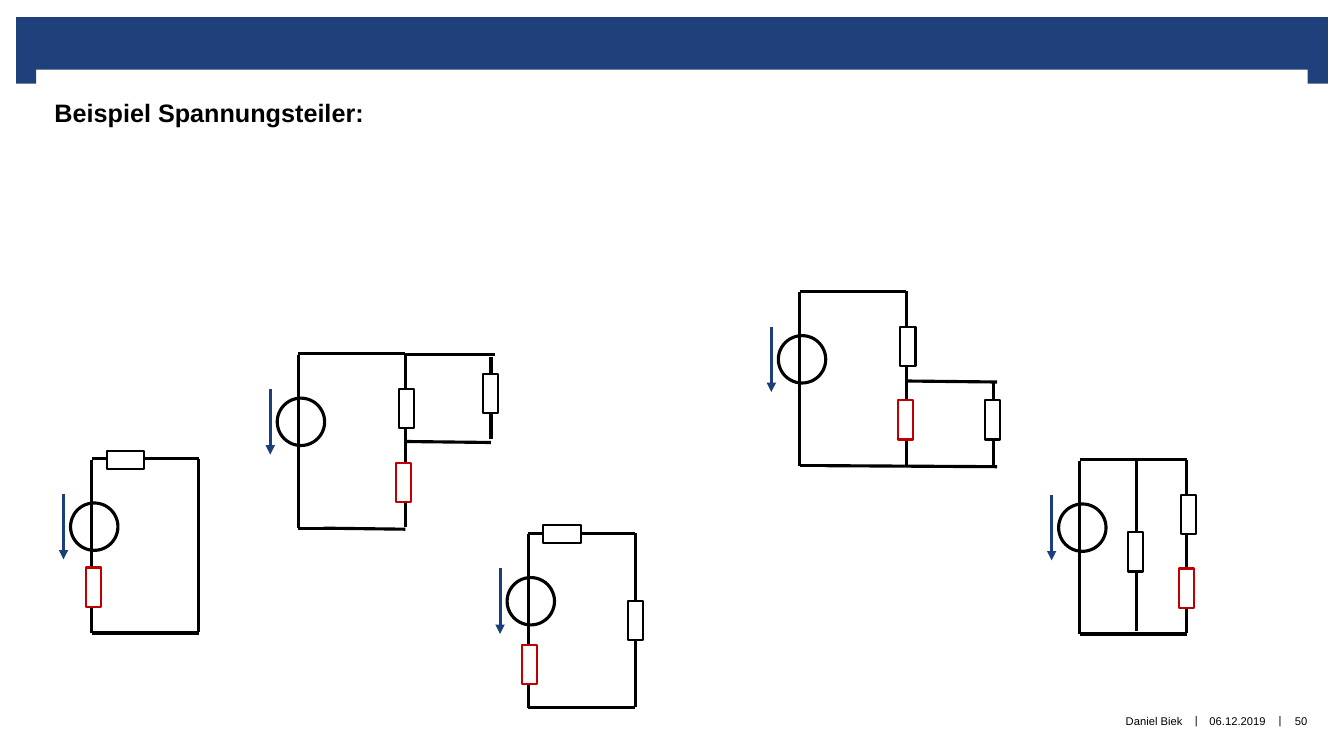
"""Draw the voltage divider example slide with its five circuits."""
import lxml.etree
import pptx
import pptx.dml.color
import pptx.enum.shapes
import pptx.enum.text
import pptx.oxml.ns
import pptx.util

NAVY = pptx.dml.color.RGBColor(0x1F, 0x40, 0x7A)
ARROW_BLUE = pptx.dml.color.RGBColor(0x1C, 0x3E, 0x7A)
RED = pptx.dml.color.RGBColor(0xC0, 0x00, 0x00)
BLACK = pptx.dml.color.RGBColor(0x00, 0x00, 0x00)
WHITE = pptx.dml.color.RGBColor(0xFF, 0xFF, 0xFF)
RECTANGLE = pptx.enum.shapes.MSO_SHAPE.RECTANGLE
OVAL = pptx.enum.shapes.MSO_SHAPE.OVAL
ALIGN = pptx.enum.text.PP_ALIGN
UPRIGHT, LYING = (15, 39), (37, 18)
LOOP_WIDTH, LOOP_HEIGHT = 106, 173

CIRCUITS = [
    dict(origin=(91, 455), resistors=[(15, -8, LYING, BLACK), (-6, 108, UPRIGHT, RED)]),
    dict(origin=(524, 529), resistors=[(15, -8, LYING, BLACK), (-6, 111, UPRIGHT, RED),
                                       (99, 67, UPRIGHT, BLACK)]),
    dict(origin=(1071, 456), wires=[(56, 170, 56, -2)],
         resistors=[(98, 108, UPRIGHT, RED), (100, 35, UPRIGHT, BLACK),
                    (48, 72, UPRIGHT, BLACK)]),
    dict(origin=(793, 289), bottom_end=(196, 174),
         wires=[(192, 173, 192, 91), (107, 89, 196, 90)],
         resistors=[(98, 108, UPRIGHT, RED), (100, 35, UPRIGHT, BLACK),
                    (184, 108, UPRIGHT, BLACK)]),
    dict(origin=(296, 351), bottom_end=(106, 174),
         wires=[(191, 85, 191, 3), (106, 1, 195, 1), (106, 87, 191, 88)],
         resistors=[(97, 108, UPRIGHT, RED), (100, 35, UPRIGHT, BLACK),
                    (183, 20, UPRIGHT, BLACK)]),
]


def px(length):
    return pptx.util.Emu(length * 9144)


def write_text(shape, text, size=8, bold=False, align=ALIGN.CENTER, inset=(0, 0), wrap=True):
    frame = shape.text_frame
    frame.auto_size = pptx.enum.text.MSO_AUTO_SIZE.NONE
    frame.word_wrap = wrap
    frame.vertical_anchor = pptx.enum.text.MSO_ANCHOR.MIDDLE
    frame.margin_left = frame.margin_right = px(inset[0])
    frame.margin_top = frame.margin_bottom = px(inset[1])
    frame.text = text
    paragraph = frame.paragraphs[0]
    paragraph.alignment = align
    paragraph.font.name = "Arial"
    paragraph.font.size = pptx.util.Pt(size)
    paragraph.font.bold = bold
    paragraph.font.color.rgb = BLACK


class SlidePainter:
    def __init__(self, slide):
        self.slide = slide
        self.shapes = slide.shapes

    def start_group(self):
        self.shapes = self.slide.shapes.add_group_shape().shapes

    def title(self, text, left, top, width, height):
        shape = self.slide.shapes.title
        shape.left, shape.top, shape.width, shape.height = map(px, (left, top, width, height))
        write_text(shape, text, size=18, bold=True, align=ALIGN.LEFT, inset=(10, 5), wrap=False)

    def label(self, text, left, top, width, height, **style):
        shape = self.slide.shapes.add_textbox(*map(px, (left, top, width, height)))
        write_text(shape, text, **style)

    def shape(self, kind, left, top, width, height, fill=None, line=None, weight=1.5):
        shape = self.shapes.add_shape(kind, *map(px, (left, top, width, height)))
        shape.shadow.inherit = False
        if fill is None:
            shape.fill.background()
        else:
            shape.fill.solid()
            shape.fill.fore_color.rgb = fill
        if line is None:
            shape.line.fill.background()
        else:
            shape.line.color.rgb = line
            shape.line.width = pptx.util.Pt(weight)

    def line(self, x1, y1, x2, y2, color=BLACK, arrow=False):
        connector = self.shapes.add_connector(
            pptx.enum.shapes.MSO_CONNECTOR.STRAIGHT, *map(px, (x1, y1, x2, y2)))
        connector.line.color.rgb = color
        connector.line.width = pptx.util.Pt(2.25)
        qn = pptx.oxml.ns.qn
        properties = connector.element.spPr
        if arrow:
            outline = properties.find(qn("a:ln"))
            lxml.etree.SubElement(outline, qn("a:tailEnd"), type="triangle")
        lxml.etree.SubElement(properties, qn("a:effectLst"))

    def circuit(self, origin, resistors, wires=(), bottom_end=(LOOP_WIDTH, LOOP_HEIGHT)):
        self.start_group()
        x, y = origin
        loop = [(0, LOOP_HEIGHT, 0, 1), (0, LOOP_HEIGHT, 29, LOOP_HEIGHT),
                (25, LOOP_HEIGHT, *bottom_end),
                (LOOP_WIDTH, LOOP_HEIGHT - 1, LOOP_WIDTH, 0), (0, 0, LOOP_WIDTH, 0)]
        for x1, y1, x2, y2 in [*loop, *wires]:
            self.line(x + x1, y + y1, x + x2, y + y2)
        self.shape(OVAL, x - 21, y + 44, 47, 47, line=BLACK, weight=2.25)
        self.line(x - 28, y + 35, x - 28, y + 100, color=ARROW_BLUE, arrow=True)
        for dx, dy, size, color in resistors:
            self.shape(RECTANGLE, x + dx, y + dy, *size, fill=WHITE, line=color)


def main():
    presentation = pptx.Presentation()
    presentation.slide_width, presentation.slide_height = px(1333), px(750)
    painter = SlidePainter(presentation.slides.add_slide(presentation.slide_layouts[5]))
    painter.start_group()
    for bar in [(16, 17, 1301, 52), (16, 65, 20, 18), (1297, 65, 20, 18)]:
        painter.shape(RECTANGLE, *bar, fill=NAVY)
    for left in (1262, 1179):
        painter.label("|", left, 689, 15, 51)
    painter.label("06.12.2019", 1194, 690, 67, 51)
    painter.label("Daniel Biek", 666, 690, 507, 50, align=ALIGN.RIGHT)
    painter.label("50", 1271, 690, 39, 51)
    painter.title("Beispiel Spannungsteiler:", 44, 92, 330, 40)
    for circuit in CIRCUITS:
        painter.circuit(**circuit)
    presentation.save("out.pptx")


if __name__ == "__main__":
    main()
